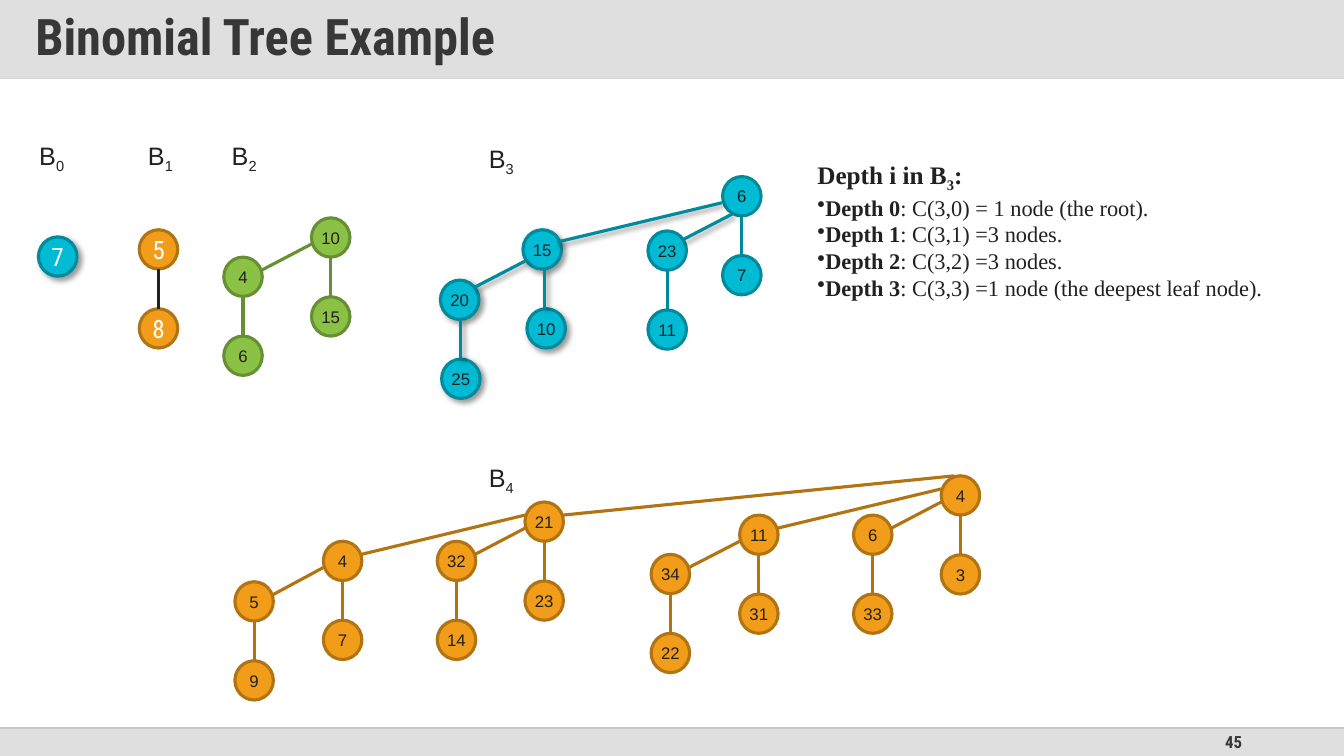
from pptx import Presentation
from pptx.dml.color import RGBColor
from pptx.enum.shapes import MSO_CONNECTOR, MSO_SHAPE
from pptx.enum.text import MSO_ANCHOR, PP_ALIGN
from pptx.oxml import parse_xml
from pptx.oxml.ns import nsdecls
from pptx.util import Cm, Pt

STRAIGHT = MSO_CONNECTOR.STRAIGHT
RECTANGLE, OVAL = MSO_SHAPE.RECTANGLE, MSO_SHAPE.OVAL
MIDDLE = MSO_ANCHOR.MIDDLE
CENTER, RIGHT = PP_ALIGN.CENTER, PP_ALIGN.RIGHT
HEAD_FONT, LABEL_FONT, NOTE_FONT = "Roboto Condensed", "Arial", "Times New Roman"
COLORS = {
    "band": "DFDFDF", "head_rule": "D9D9D9", "foot_rule": "C9C9C9",
    "heading": "373737", "text": "212121", "white": "FFFFFF",
    "blue": "00BBD3", "blue_line": "008A9C",
    "green": "8BC145", "green_line": "678F33",
    "orange": "F19D19", "orange_line": "B27412",
}
WIDTH, HEIGHT = 33.87, 19.05
NODE_W, NODE_H, LEVEL = 0.97, 0.99, 1.99


def set_effects(shape, shadowed=False):
    shadow = ('<a:outerShdw blurRad="50800" dist="38100" dir="2700000" algn="tl" rotWithShape="0">'
              '<a:srgbClr val="000000"><a:alpha val="40000"/></a:srgbClr></a:outerShdw>')
    shape._element.spPr.append(parse_xml(
        f'<a:effectLst {nsdecls("a")}>{shadow if shadowed else ""}</a:effectLst>'))


def add_run(paragraph, text, font, size, color="text", bold=False, subscript=False):
    run = paragraph.add_run()
    run.text = text
    run.font.name, run.font.size, run.font.bold = font, Pt(size), bold
    run.font.color.rgb = RGBColor.from_string(COLORS[color])
    if subscript:
        run.font._element.set("baseline", "-25000")


prs = Presentation()
prs.slide_width, prs.slide_height = Cm(WIDTH), Cm(HEIGHT)
slide = prs.slides.add_slide(prs.slide_layouts[6])
shapes = slide.shapes

# Header and footer bands
HEAD_H, FOOT_TOP = 1.98, 18.34
bands = []
for top, height in [(0, HEAD_H), (FOOT_TOP, HEIGHT - FOOT_TOP)]:
    band = shapes.add_shape(RECTANGLE, 0, Cm(top), Cm(WIDTH), Cm(height))
    band.fill.solid()
    band.fill.fore_color.rgb = RGBColor.from_string(COLORS["band"])
    band.line.fill.background()
    set_effects(band)
    bands.append(band)

title = bands[0].text_frame
title.vertical_anchor = MIDDLE
title.margin_left = Cm(0.89)
title.paragraphs[0].alignment = PP_ALIGN.LEFT
title.paragraphs[0].line_spacing = 0.9
add_run(title.paragraphs[0], "Binomial Tree Example", HEAD_FONT, 36, "heading", bold=True)

page_number = shapes.add_textbox(Cm(23.93), Cm(FOOT_TOP), Cm(7.62), Cm(0.71)).text_frame
page_number.word_wrap = True
page_number.vertical_anchor = MIDDLE
page_number.paragraphs[0].alignment = RIGHT
add_run(page_number.paragraphs[0], "45", HEAD_FONT, 12, "heading", bold=True)

# Edges: x1, y1, x2, y2, color, width in points, shadowed
edges = [(0, HEAD_H, WIDTH, HEAD_H, "head_rule", 1, False),
         (0, FOOT_TOP, WIDTH, FOOT_TOP, "foot_rule", 1, False)]

# Columns of each tree: left, top, values downwards, shift of the lower node, shadowed
trees = {
    "B0": ("blue", [(0.97, 5.97, "7", 0, True)]),
    "B1": ("orange", [(3.51, 5.79, "5 8", 0, False)]),
    "B2": ("green", [(7.85, 5.49, "10 15", 0, False), (5.64, 6.48, "4 6", 0, False)]),
    "B3": ("blue", [(18.21, 4.45, "6 7", 0, False), (16.33, 5.82, "23 11", 0, False),
                    (13.18, 5.79, "15 10", 0.1, True), (11.1, 7.06, "20 25", 0.03, True)]),
    "B4": ("orange", [(13.23, 12.65, "21 23", 0, False), (11.02, 13.64, "32 14", 0, False),
                      (8.15, 13.64, "4 7", 0, False), (5.92, 14.66, "5 9", 0, False),
                      (23.72, 11.99, "4 3", 0, False), (21.51, 12.98, "6 33", 0, False),
                      (18.64, 12.98, "11 31", 0, False), (16.41, 13.97, "34 22", 0, False)]),
}
for name, (color, columns) in trees.items():
    small_tree = name in ("B0", "B1")
    for left, top, values, shift, shadowed in columns:
        for depth, value in enumerate(values.split()):
            node = shapes.add_shape(OVAL, Cm(left + depth * shift), Cm(top + depth * LEVEL),
                                    Cm(NODE_W), Cm(NODE_H))
            node.fill.solid()
            node.fill.fore_color.rgb = RGBColor.from_string(COLORS[color])
            node.line.color.rgb = RGBColor.from_string(COLORS[color + "_line"])
            node.line.width = Pt(2.25)
            set_effects(node, shadowed)
            frame = node.text_frame
            frame.word_wrap = False
            frame.vertical_anchor = MIDDLE
            frame.margin_left = frame.margin_right = 0
            frame.paragraphs[0].alignment = CENTER
            if small_tree:
                add_run(frame.paragraphs[0], value, HEAD_FONT, 18, "white")
            else:
                add_run(frame.paragraphs[0], value, LABEL_FONT, 12)
        if depth:
            middle = left + (NODE_W + shift) / 2
            edges.append((middle, top + NODE_H, middle, top + LEVEL,
                          "text" if small_tree else color + "_line", 2.25, shadowed))

# Links between columns: child, parent, start offset in child, end offset in parent
SIDE, SHORT, LONG = (0.95, 0.33), (0, 0.66), (0, 0.33)
links = {
    "B2": [(1, 0, SIDE, SHORT)],
    "B3": [(1, 0, (0.86, 0.23), (0.25, 0.94)), (3, 2, (0.86, 0.18), (0.05, 0.79)),
           (2, 0, (0.86, 0.31), (-0.02, 0.66))],
    "B4": [(1, 0, SIDE, SHORT), (3, 2, SIDE, SHORT), (2, 0, SIDE, LONG), (5, 4, SIDE, SHORT),
           (7, 6, SIDE, SHORT), (6, 4, SIDE, LONG), (0, 4, SIDE, (0.33, 0))],
}
for name, tree_links in links.items():
    color, columns = trees[name]
    for child, parent, start, end in tree_links:
        edges.append((columns[child][0] + start[0], columns[child][1] + start[1],
                      columns[parent][0] + end[0], columns[parent][1] + end[1],
                      color + "_line", 2.25, name == "B3"))

for x1, y1, x2, y2, color, width, shadowed in edges:
    edge = shapes.add_connector(STRAIGHT, Cm(x1), Cm(y1), Cm(x2), Cm(y2))
    edge.line.color.rgb = RGBColor.from_string(COLORS[color])
    edge.line.width = Pt(width)
    set_effects(edge, shadowed)

# Tree labels
for order, (left, top) in enumerate([(0.74, 3.4), (3.48, 3.4), (5.59, 3.4),
                                     (12.07, 3.48), (12.07, 11.53)]):
    label = shapes.add_textbox(Cm(left), Cm(top), Cm(2.54), Cm(1.02)).text_frame
    label.word_wrap = True
    add_run(label.paragraphs[0], "B", LABEL_FONT, 18)
    add_run(label.paragraphs[0], str(order), LABEL_FONT, 18, subscript=True)

# Node counts by depth
depths = shapes.add_textbox(Cm(20.35), Cm(3.89), Cm(13.28), Cm(3.76)).text_frame
depths.word_wrap = True
heading = depths.paragraphs[0]
add_run(heading, "Depth i in B", NOTE_FONT, 18, bold=True)
add_run(heading, "3", NOTE_FONT, 18, bold=True, subscript=True)
add_run(heading, ":", NOTE_FONT, 18, bold=True)
for depth, count in enumerate(["= 1 node (the root).", "=3 nodes.", "=3 nodes.",
                               "=1 node (the deepest leaf node)."]):
    item = depths.add_paragraph()
    item._p.get_or_add_pPr().append(parse_xml(f'<a:buChar {nsdecls("a")} char="•"/>'))
    add_run(item, f"Depth {depth}", NOTE_FONT, 16, bold=True)
    add_run(item, f": C(3,{depth}) {count}", NOTE_FONT, 16)

prs.save("out.pptx")
